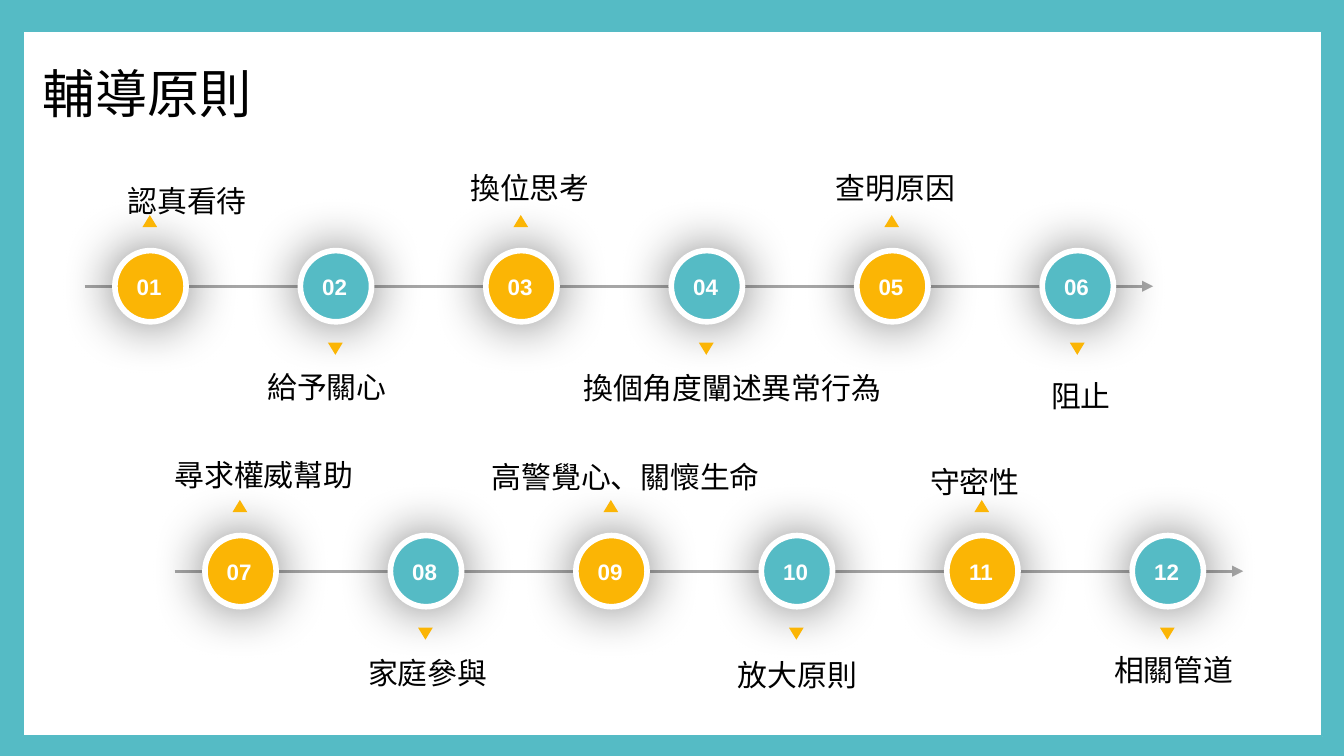
import dataclasses

import lxml.etree
import pptx
import pptx.dml.color
import pptx.enum.shapes
import pptx.enum.text
import pptx.oxml.ns
import pptx.util

Inches = pptx.util.Inches
Pt = pptx.util.Pt
SHAPES = pptx.enum.shapes.MSO_SHAPE
ALIGN = pptx.enum.text.PP_ALIGN
qn = pptx.oxml.ns.qn


@dataclasses.dataclass(frozen=True)
class Theme:
    """Colours, fonts and type sizes of the slide."""
    teal: str = "55BBC5"
    amber: str = "FBB505"
    white: str = "FFFFFF"
    black: str = "000000"
    grey: str = "A6A6A6"
    han_font: str = "Noto Sans CJK SC"
    number_font: str = "Arial"
    title_size: int = 28
    label_size: int = 16
    number_size: int = 12


THEME = Theme()

FIRST_STEPS = [
    ("認真看待", 0.27, 0.10),
    ("給予關心", 1.31, 1.48),
    ("換位思考", 2.82, 0),
    ("換個角度闡述異常行為", 3.66, 1.49),
    ("查明原因", 5.54, 0),
    ("阻止", 7.14, 1.55),
]
SECOND_STEPS = [
    ("尋求權威幫助", -0.05, 0.02),
    ("家庭參與", 1.39, 1.49),
    ("高警覺心、關懷生命", 2.31, 0.03),
    ("放大原則", 4.14, 1.51),
    ("守密性", 5.57, 0.07),
    ("相關管道", 6.94, 1.47),
]


def rgb(colour):
    """Turn a hex string into a colour value."""
    return pptx.dml.color.RGBColor.from_string(colour)


def add_figure(slide, kind, box, fill, line=None, line_width=1):
    """Place a filled preset shape without a shadow."""
    figure = slide.shapes.add_shape(kind, *map(Inches, box))
    figure.shadow.inherit = False
    figure.fill.solid()
    figure.fill.fore_color.rgb = rgb(fill)
    if line:
        figure.line.color.rgb = rgb(line)
        figure.line.width = Pt(line_width)
    else:
        figure.line.fill.background()
    return figure


def add_glow(figure, blur, opacity):
    """Give a shape a soft black shadow all round."""
    effects = figure._element.spPr.find(qn("a:effectLst"))
    shadow = lxml.etree.SubElement(effects, qn("a:outerShdw"), blurRad=str(Pt(blur)),
                                   dist="0", dir="0", algn="ctr", rotWithShape="0")
    colour = lxml.etree.SubElement(shadow, qn("a:srgbClr"), val=THEME.black)
    lxml.etree.SubElement(colour, qn("a:alpha"), val=str(opacity * 1000))


def add_words(slide, words, box, size, font, colour, bold=False, align=ALIGN.LEFT, wrap=False):
    """Place one line of text in a box."""
    holder = slide.shapes.add_textbox(*map(Inches, box))
    frame = holder.text_frame
    margins = dict.fromkeys(("margin_left", "margin_top", "margin_right", "margin_bottom"),
                            Inches(0.05))
    for name, value in {**margins, "word_wrap": wrap}.items():
        setattr(frame, name, value)
    paragraph = frame.paragraphs[0]
    paragraph.alignment = align
    run = paragraph.add_run()
    run.text = words
    for name, value in {"name": font, "size": Pt(size), "bold": bold}.items():
        setattr(run.font, name, value)
    run.font.color.rgb = rgb(colour)
    lxml.etree.SubElement(run._r.get_or_add_rPr(), qn("a:ea"), typeface=font)


def add_frame(slide, width, height):
    """Draw the teal border and its white panel."""
    add_figure(slide, SHAPES.RECTANGLE, (0, 0, width, height), THEME.teal)
    add_figure(slide, SHAPES.RECTANGLE, (0.17, 0.23, width - 0.33, 5.25),
               THEME.white, THEME.teal)


def add_title(slide, left, top):
    """Write the slide title."""
    add_words(slide, "輔導原則", (left, top, 2.73, 0.66), THEME.title_size,
              THEME.han_font, THEME.black, wrap=True)


def add_axis(slide, left, y, width):
    """Draw the arrow that runs behind the steps."""
    axis = slide.shapes.add_connector(pptx.enum.shapes.MSO_CONNECTOR.STRAIGHT,
                                      Inches(left), Inches(y), Inches(left + width), Inches(y))
    axis.line.color.rgb = rgb(THEME.grey)
    axis.line.width = Pt(1.5)
    lxml.etree.SubElement(axis.line._get_or_add_ln(), qn("a:tailEnd"), type="triangle")
    lxml.etree.SubElement(axis._element.spPr, qn("a:effectLst"))


def add_timeline(slide, left, top, width, first_number, steps):
    """Draw numbered steps whose labels alternate above and below the axis."""
    axis_y = top + 0.92
    diameter, pitch = 0.53, 1.38
    add_axis(slide, left, axis_y, width)
    for index, (label, label_x, label_y) in enumerate(steps):
        above = index % 2 == 0
        centre = left + 0.49 + pitch * index
        disc = add_figure(slide, SHAPES.OVAL,
                          (centre - diameter / 2, axis_y - diameter / 2, diameter, diameter),
                          THEME.amber if above else THEME.teal, THEME.white, 3)
        add_glow(disc, 29, 52)
        pointer_y = axis_y + (-0.53 if above else 0.42)
        pointer = add_figure(slide, SHAPES.ISOSCELES_TRIANGLE,
                             (centre - 0.06, pointer_y, 0.11, 0.09), THEME.amber)
        pointer.rotation = 0 if above else 180
        add_words(slide, f"{first_number + index:02d}", (centre - 0.16, axis_y - 0.15, 0.3, 0.29),
                  THEME.number_size, THEME.number_font, THEME.white, True, ALIGN.CENTER)
        label_width = len(label) * THEME.label_size / 72 + 0.1
        add_words(slide, label, (left + label_x, top + label_y, label_width, 0.41),
                  THEME.label_size, THEME.han_font, THEME.black)


def main():
    """Build and save the slide."""
    deck = pptx.Presentation()
    width = 10
    height = width * 9 / 16
    deck.slide_width, deck.slide_height = Inches(width), Inches(height)
    slide = deck.slides.add_slide(deck.slide_layouts[6])
    add_frame(slide, width, height)
    add_title(slide, 0.27, 0.41)
    add_timeline(slide, 0.63, 1.21, 7.95, 1, FIRST_STEPS)
    add_timeline(slide, 1.3, 3.33, 7.95, 7, SECOND_STEPS)
    deck.save("out.pptx")


if __name__ == "__main__":
    main()
